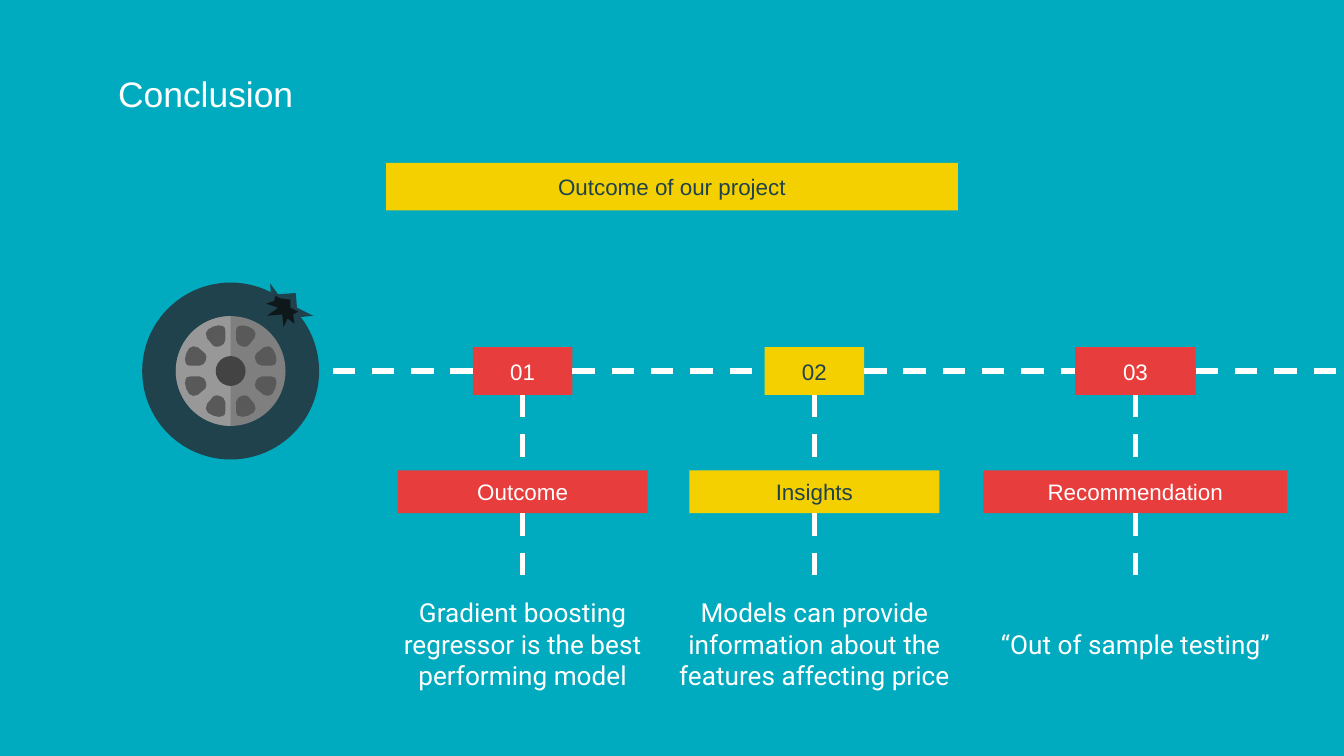
import math
import pptx
import pptx.util
import pptx.dml.color
import pptx.enum.dml
import pptx.enum.shapes
import pptx.enum.text
import pptx.oxml.ns
import lxml.etree

Pt = pptx.util.Pt
RGBColor = pptx.dml.color.RGBColor
SHAPES = pptx.enum.shapes.MSO_SHAPE
ALIGN = pptx.enum.text.PP_ALIGN
ANCHOR = pptx.enum.text.MSO_ANCHOR

TEAL = RGBColor(0x00, 0xAB, 0xBF)
WHITE = RGBColor(0xFF, 0xFF, 0xFF)
YELLOW = RGBColor(0xF4, 0xD0, 0x00)
RED = RGBColor(0xE8, 0x3D, 0x3D)
NAVY = RGBColor(0x1F, 0x42, 0x4C)
BLACK = RGBColor(0x0E, 0x17, 0x19)
LIGHT_GRAY = RGBColor(0x98, 0x98, 0x98)
MID_GRAY = RGBColor(0x80, 0x7F, 0x7F)
DARK_GRAY = RGBColor(0x5A, 0x59, 0x59)
HUB_GRAY = RGBColor(0x43, 0x43, 0x43)

# Content: widths are for the number, the label and the text
TITLE = "Conclusion"
BANNER = "Outcome of our project"
STEPS = [
    dict(number="01", label="Outcome",
         text="Gradient boosting regressor is the best performing model",
         center=280, widths=(53.4, 134, 146.2), fill=RED, color=WHITE),
    dict(number="02", label="Insights",
         text="Models can provide information about the features affecting price",
         center=436.3, widths=(53.4, 134, 161.4), fill=YELLOW, color=NAVY),
    dict(number="03", label="Recommendation", text="“Out of sample testing”",
         center=608.3, widths=(64.6, 163, 177.6), fill=RED, color=WHITE),
]

# Rows and timeline
NUMBER_TOP, NUMBER_HEIGHT = 186, 25.6
LABEL_TOP, LABEL_HEIGHT = 252, 23
TEXT_TOP, TEXT_HEIGHT = 315.4, 59
AXIS = 198.8
TIMELINE_START, TIMELINE_END = 150.5, 746

# Wheel: outlines in points, the window relative to the wheel's center
WHEEL_X = 123.6
TIRE_RADIUS, RIM_RADIUS, HUB_RADIUS = 47.4, 29.4, 8
WINDOW = [(4.3, -24.1), (6.5, -24.5), (9.4, -23.8), (12.2, -22.3), (13.3, -20.2),
          (12.7, -17.6), (9.4, -13.7), (7.9, -13), (5.8, -13.3), (3.9, -14.4),
          (2.9, -16.6), (2.9, -21.6), (3.3, -23.4)]
TEAR = [(145.4, 161.3), (144.7, 151.9), (149, 157.7), (158.4, 157), (159.1, 164.9),
        (167.8, 169.2), (154.1, 170.6), (144.7, 163.4)]
HOLE = [(146.9, 161.3), (147.6, 158.4), (149.8, 159.8), (155.5, 160.6),
        (155.5, 164.9), (159.8, 167), (157, 168.5), (157.7, 173.5), (154.1, 170.6),
        (151.9, 175.3), (151.2, 168.5), (143.1, 169.2), (149, 164.9), (142.6, 162.7)]

presentation = pptx.Presentation()
presentation.slide_width, presentation.slide_height = Pt(720), Pt(405)
slide = presentation.slides.add_slide(presentation.slide_layouts[6])
slide.background.fill.solid()
slide.background.fill.fore_color.rgb = TEAL


def paint(shape, color):
    shape.shadow.inherit = False
    shape.fill.solid()
    shape.fill.fore_color.rgb = color
    shape.line.fill.background()


def add_text(text, left, top, width, height, fill=None, color=WHITE, size=12,
             font="Arial", align=ALIGN.CENTER, anchor=ANCHOR.MIDDLE):
    box = Pt(left), Pt(top), Pt(width), Pt(height)
    if fill is None:
        shape = slide.shapes.add_textbox(*box)
    else:
        shape = slide.shapes.add_shape(SHAPES.RECTANGLE, *box)
        paint(shape, fill)
    frame = shape.text_frame
    frame.word_wrap = True
    frame.vertical_anchor = anchor
    frame.margin_left = frame.margin_right = Pt(7.2)
    frame.margin_top = frame.margin_bottom = Pt(7.2)
    paragraph = frame.paragraphs[0]
    paragraph.alignment = align
    run = paragraph.add_run()
    run.text = text
    run.font.name, run.font.size, run.font.color.rgb = font, Pt(size), color


def add_dashes(x1, y1, x2, y2):
    connector = slide.shapes.add_connector(
        pptx.enum.shapes.MSO_CONNECTOR.STRAIGHT, Pt(x1), Pt(y1), Pt(x2), Pt(y2))
    connector.line.color.rgb = WHITE
    connector.line.width = Pt(3)
    connector.line.dash_style = pptx.enum.dml.MSO_LINE.DASH
    lxml.etree.SubElement(connector._element.spPr, pptx.oxml.ns.qn("a:effectLst"))


def add_disc(radius, color):
    paint(slide.shapes.add_shape(SHAPES.OVAL, Pt(WHEEL_X - radius), Pt(AXIS - radius),
                                 Pt(2 * radius), Pt(2 * radius)), color)


def add_outline(contours, color):
    contours = [[(Pt(x), Pt(y)) for x, y in contour] for contour in contours]
    builder = slide.shapes.build_freeform(*contours[0][0])
    for index, contour in enumerate(contours):
        if index:
            builder.move_to(*contour[0])
        builder.add_line_segments(contour[1:], close=True)
    paint(builder.convert_to_shape(), color)


# Title and banner
add_text(TITLE, 56.2, 31.7, 607.6, 45.4, size=19, align=ALIGN.LEFT, anchor=ANCHOR.TOP)
add_text(BANNER, 206.8, 87.2, 306.4, 25.6, fill=YELLOW, color=NAVY)

# Steps with their vertical dashes
for step in STEPS:
    center = step["center"]
    number_width, label_width, text_width = step["widths"]
    style = dict(fill=step["fill"], color=step["color"])
    add_text(step["number"], center - number_width / 2, NUMBER_TOP,
             number_width, NUMBER_HEIGHT, **style)
    add_text(step["label"], center - label_width / 2, LABEL_TOP,
             label_width, LABEL_HEIGHT, **style)
    add_text(step["text"], center - text_width / 2, TEXT_TOP,
             text_width, TEXT_HEIGHT, size=14, font="Roboto")
    add_dashes(center, NUMBER_TOP + NUMBER_HEIGHT, center, LABEL_TOP)
    add_dashes(center, LABEL_TOP + LABEL_HEIGHT, center, TEXT_TOP)

# Timeline: the first stretch runs from step 01 back to the wheel
edges = [(step["center"] - step["widths"][0] / 2, step["center"] + step["widths"][0] / 2)
         for step in STEPS]
add_dashes(edges[0][0], AXIS, TIMELINE_START, AXIS)
next_lefts = [left for left, right in edges[1:]] + [TIMELINE_END]
for (left, right), next_left in zip(edges, next_lefts):
    add_dashes(right, AXIS, next_left, AXIS)

# Wheel: tire, two-tone rim, eight mirrored windows, hub and puncture
add_disc(TIRE_RADIUS, NAVY)
add_disc(RIM_RADIUS, MID_GRAY)
angles = [math.radians(degree) for degree in range(90, 271, 5)]
add_outline([[(WHEEL_X + RIM_RADIUS * math.cos(angle),
               AXIS + RIM_RADIUS * math.sin(angle)) for angle in angles]], LIGHT_GRAY)
windows = [[(WHEEL_X + sx * x, AXIS + sy * y) for x, y in outline]
           for outline in (WINDOW, [(y, x) for x, y in WINDOW])
           for sx in (1, -1) for sy in (1, -1)]
add_outline(windows, DARK_GRAY)
add_disc(HUB_RADIUS, HUB_GRAY)
add_outline([TEAR], NAVY)
add_outline([HOLE], BLACK)

presentation.save("out.pptx")
